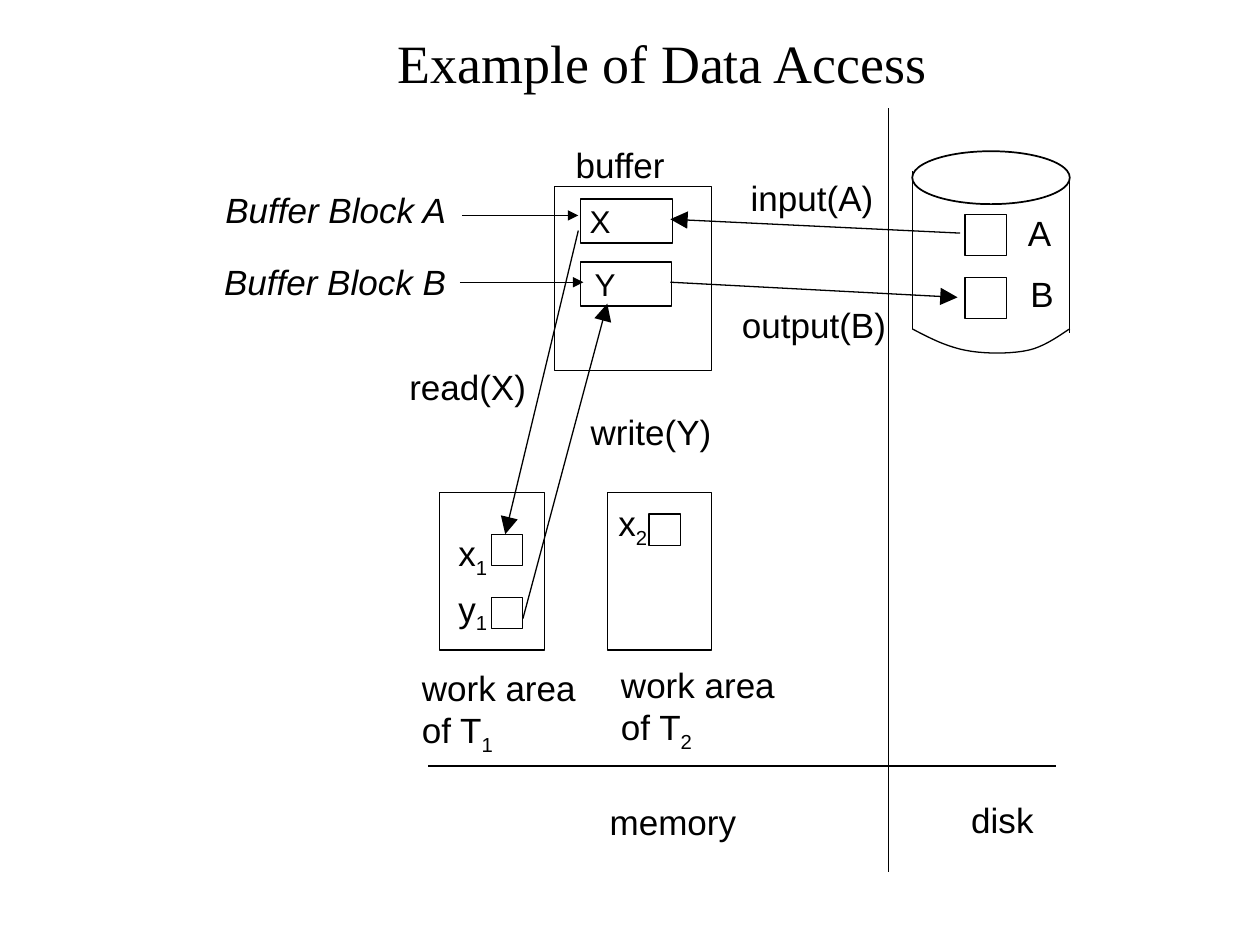
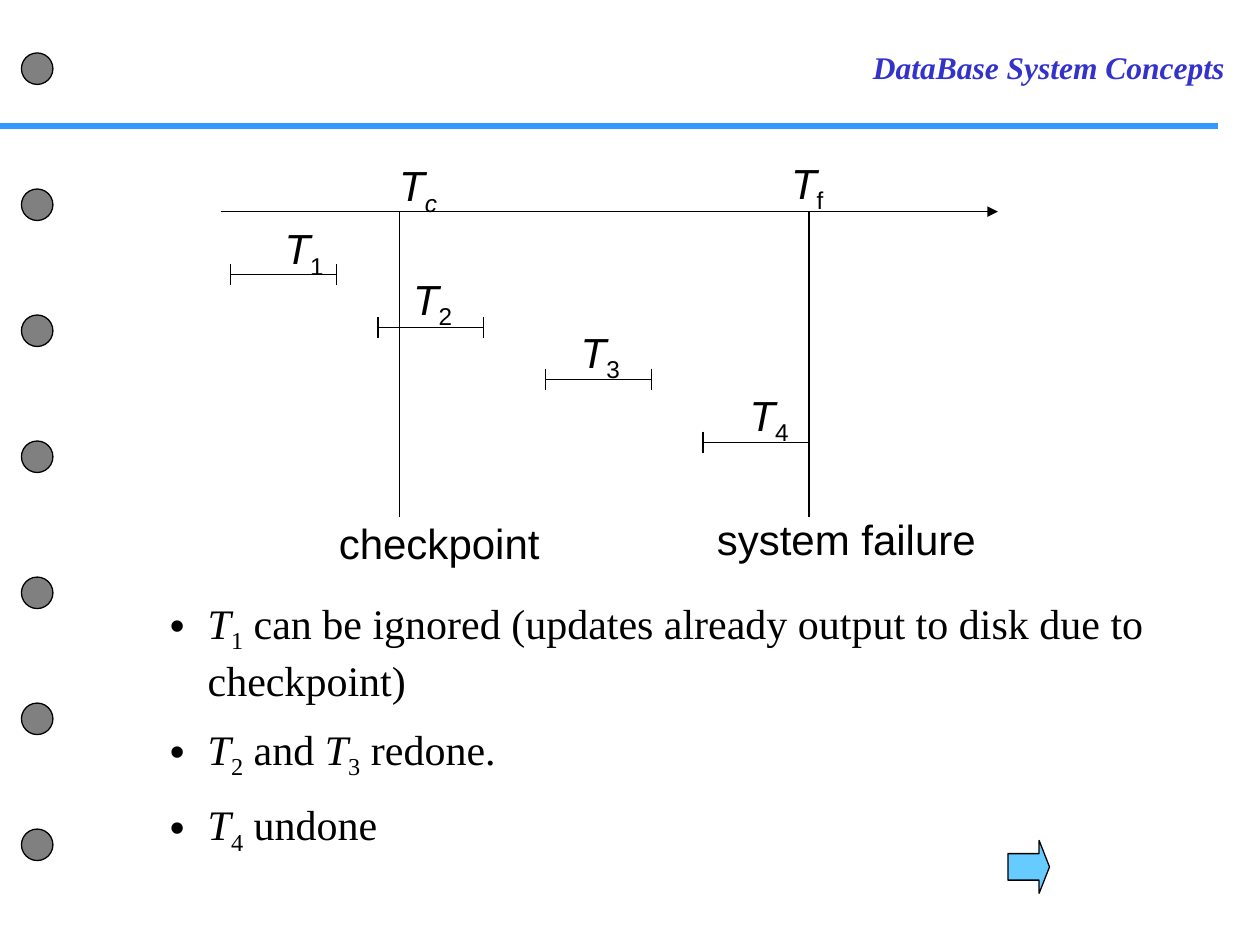
"""Build two slides on database recovery: data access and a checkpoint timeline."""
from lxml import etree
from pptx import Presentation, util as u
from pptx.dml.color import RGBColor
from pptx.enum import shapes, text
from pptx.oxml.ns import qn

SANS, SERIF = "Arial", "Times New Roman"
BLACK, GREY, RULE_BLUE, TITLE_BLUE, ARROW_BLUE = "000000", "808080", "3399FF", "3333CC", "66CCFF"
RECTANGLE, OVAL = shapes.MSO_SHAPE.RECTANGLE, shapes.MSO_SHAPE.OVAL
LEFT, CENTER = text.PP_ALIGN.LEFT, text.PP_ALIGN.CENTER

# Runs are split by "|"; a leading "/" means italic and a leading "~" subscript.
ACCESS_TITLE = "Example of Data Access"
ACCESS_LABELS = [
    (["A"], 8.06, 1.63, 0.38), (["B"], 8.08, 2.11, 0.38),
    (["x|~1"], 3.54, 4.17, 0.43), (["y|~1"], 3.54, 4.61, 0.47), (["x|~2"], 4.81, 3.93, 0.43),
    (["buffer"], 4.47, 1.09, 0.91),
    (["/Buffer Block A"], 1.69, 1.45, 2.04), (["/Buffer Block B"], 1.68, 2.02, 1.96),
    (["input(A)"], 5.86, 1.35, 1.17), (["output(B)"], 5.79, 2.36, 1.42),
    (["read(X)"], 3.15, 2.85, 1.13), (["write(Y)"], 4.59, 3.21, 1.16),
    (["work area", "of T|~1"], 3.25, 5.24, 1.5), (["work area", "of T|~2"], 4.83, 5.22, 1.42),
    (["memory"], 4.74, 6.3, 1.2), (["disk"], 7.61, 6.29, 0.69),
]
BUFFER = (4.4, 1.48, 1.25, 1.46)
BUFFER_BLOCKS = [("X", (4.61, 1.58, 0.73, 0.35), 0.07), ("Y", (4.61, 2.08, 0.72, 0.35), 0.11)]
DISK_BLOCKS = [(7.66, top, 0.33, 0.33) for top in (1.7, 2.2)]
WORK_AREAS = [(left, 3.91, 0.83, 1.25) for left in (3.49, 4.82)]
VARIABLES = [(left, top, 0.25, 0.25) for left, top in ((3.9, 4.24), (3.9, 4.74), (5.15, 4.08))]
DISK_TOP = (7.24, 1.2, 1.25, 0.42)
DISK_SIDES = [(7.24, 1.36, 7.24, 2.61), (8.49, 1.39, 8.49, 2.64)]
DISK_BOTTOM = [
    ((7.24, 2.61), (7.37, 2.68), (7.51, 2.75), (7.66, 2.78)),
    ((7.66, 2.78), (7.81, 2.81), (8.02, 2.81), (8.16, 2.78)),
    ((8.16, 2.78), (8.3, 2.75), (8.44, 2.64), (8.49, 2.61)),
]
DIVIDERS = [(3.4, 6.08, 8.38, 6.08), (7.05, 0.86, 7.05, 6.92)]
BLOCK_POINTERS = [(3.67, 1.71, 4.59, 1.71), (3.65, 2.24, 4.63, 2.24)]
TRANSFERS = [(7.62, 1.85, 5.32, 1.74), (5.32, 2.24, 7.6, 2.36),
             (4.59, 1.83, 4.01, 4.24), (4.15, 4.91, 4.82, 2.41)]

HEADER = "/DataBase System Concepts"
HOLE_TOPS = [0.42, 1.5, 2.5, 3.5, 4.58, 5.58, 6.58]
AXIS_TOP, EVENT_BOTTOM = 1.68, 4.1
EVENTS = [3.17, 6.42]
INTERVAL_LENGTH, TICK = 0.84, 0.17
INTERVALS = [(1.83, 2.18), (3, 2.6), (4.33, 3.01), (5.58, 3.51)]
TIMELINE_LABELS = [
    (["/T|/~c"], 3.07, 1.22, 0.5), (["/T|~f"], 6.18, 1.2, 0.46),
    (["/T|~1"], 2.16, 1.72, 0.51), (["/T|~2"], 3.18, 2.12, 0.51),
    (["/T|~3"], 4.51, 2.54, 0.51), (["/T|~4"], 5.85, 3.04, 0.51),
    (["checkpoint"], 2.59, 4.06, 1.79), (["system failure"], 5.59, 4.03, 2.25),
]
OUTCOMES = [
    "/T|~1| can be ignored (updates already output to disk due to checkpoint)",
    "/T|~2| and |/T|~3| redone.",
    "/T|~4| undone",
]


def color(value):
    return RGBColor.from_string(value)


def inches(values):
    return [u.Inches(value) for value in values]


def set_all(target, **values):
    for name, value in values.items():
        setattr(target, name, value)


def add_bullet(paragraph, indent):
    properties = paragraph._p.get_or_add_pPr()
    properties.set("marL", str(u.Inches(indent)))
    properties.set("indent", str(-u.Inches(indent)))
    etree.SubElement(properties, qn("a:buFont")).set("typeface", SANS)
    etree.SubElement(properties, qn("a:buChar")).set("char", "•")


def write(frame, lines, size, font=SANS, ink=BLACK, bold=False, align=LEFT,
          wrap=False, bullet=0, gap=0, anchor=text.MSO_ANCHOR.TOP):
    set_all(frame, word_wrap=wrap, vertical_anchor=anchor, auto_size=text.MSO_AUTO_SIZE.NONE)
    for index, line in enumerate(lines):
        paragraph = frame.add_paragraph() if index else frame.paragraphs[0]
        paragraph.alignment = align
        if index and gap:
            paragraph.space_before = u.Pt(gap)
        if bullet:
            add_bullet(paragraph, bullet)
        for part in line.split("|"):
            run = paragraph.add_run()
            run.text = part.lstrip("/~")
            marks = part[:len(part) - len(run.text)]
            set_all(run.font, name=font, size=u.Pt(size), bold=bold, italic="/" in marks)
            run.font.color.rgb = color(ink)
            if "~" in marks:
                run._r.get_or_add_rPr().set("baseline", "-25000")


def add_text(slide, lines, left, top, width, size, height=None, **style):
    height = height or 0.1 + len(lines) * size / 60
    box = slide.shapes.add_textbox(*inches((left, top, width, height)))
    write(box.text_frame, lines, size, **style)


def outline(shape, fill=None, weight=0.75):
    shape.shadow.inherit = False
    if fill:
        shape.fill.solid()
        shape.fill.fore_color.rgb = color(fill)
    else:
        shape.fill.background()
    shape.line.color.rgb = color(BLACK)
    shape.line.width = u.Pt(weight)
    return shape


def add_figure(slide, kind, place, **style):
    return outline(slide.shapes.add_shape(kind, *inches(place)), **style)


def add_line(slide, ends, ink=BLACK, weight=0.75, head=None):
    line = slide.shapes.add_connector(shapes.MSO_CONNECTOR.STRAIGHT, *inches(ends))
    line.line.color.rgb = color(ink)
    line.line.width = u.Pt(weight)
    if head:
        tail = etree.SubElement(line.line._get_or_add_ln(), qn("a:tailEnd"))
        for name, value in {"type": "triangle", "w": head, "len": head}.items():
            tail.set(name, value)
    etree.SubElement(line._element.spPr, qn("a:effectLst"))


def curve_points(curve, steps=10):
    for step in range(1, steps + 1):
        t = step / steps
        weights = ((1 - t) ** 3, 3 * t * (1 - t) ** 2, 3 * t * t * (1 - t), t ** 3)
        yield tuple(u.Inches(sum(weight * point[axis] for weight, point in zip(weights, curve)))
                    for axis in (0, 1))


def add_disk(slide):
    add_figure(slide, OVAL, DISK_TOP, weight=1)
    for side in DISK_SIDES:
        add_line(slide, side)
    builder = slide.shapes.build_freeform(*inches(DISK_BOTTOM[0][0]))
    points = [point for curve in DISK_BOTTOM for point in curve_points(curve)]
    builder.add_line_segments(points, close=False)
    outline(builder.convert_to_shape())


def build_access(presentation):
    slide = presentation.slides.add_slide(presentation.slide_layouts[5])
    title = slide.shapes.title
    set_all(title, **dict(zip(("left", "top", "width", "height"), inches((0.84, 0.13, 8.83, 0.67)))))
    write(title.text_frame, [ACCESS_TITLE], 30.8, font=SERIF, align=CENTER, wrap=True,
          anchor=text.MSO_ANCHOR.BOTTOM)
    for place in [BUFFER, *DISK_BLOCKS, *WORK_AREAS, *VARIABLES]:
        add_figure(slide, RECTANGLE, place)
    for name, place, inset in BUFFER_BLOCKS:
        block = add_figure(slide, RECTANGLE, place)
        block.text_frame.margin_left = u.Inches(inset)
        write(block.text_frame, [name], 18, wrap=True, anchor=text.MSO_ANCHOR.MIDDLE)
    add_disk(slide)
    for lines, head in ((DIVIDERS, None), (BLOCK_POINTERS, "med"), (TRANSFERS, "lg")):
        for ends in lines:
            add_line(slide, ends, head=head)
    for label in ACCESS_LABELS:
        add_text(slide, *label, size=20)


def build_timeline(presentation):
    slide = presentation.slides.add_slide(presentation.slide_layouts[6])
    add_line(slide, (0, 1, 9.67, 1), ink=RULE_BLUE, weight=3)
    for top in HOLE_TOPS:
        add_figure(slide, OVAL, (0.17, top, 0.25, 0.25), fill=GREY)
    add_text(slide, [HEADER], 6.83, 0.33, 3.17, 18, font=SERIF, ink=TITLE_BLUE, bold=True, wrap=True)
    add_line(slide, (1.75, AXIS_TOP, 7.92, AXIS_TOP), head="med")
    for event in EVENTS:
        add_line(slide, (event, AXIS_TOP, event, EVENT_BOTTOM))
    for start, level in INTERVALS:
        end = start + INTERVAL_LENGTH
        add_line(slide, (start, level, end, level))
        for edge in (start, end):
            add_line(slide, (edge, level - TICK / 2, edge, level + TICK / 2))
    for label in TIMELINE_LABELS:
        add_text(slide, *label, size=24)
    add_text(slide, OUTCOMES, 1.25, 4.69, 8, 24, height=2.77, font=SERIF, wrap=True,
             bullet=0.3, gap=10.5)
    arrow = add_figure(slide, shapes.MSO_SHAPE.RIGHT_ARROW, (8, 6.67, 0.33, 0.42), fill=ARROW_BLUE)
    arrow.adjustments[1] = 0.25


def main():
    presentation = Presentation()
    set_all(presentation, slide_width=u.Inches(10), slide_height=u.Inches(7.5))
    build_access(presentation)
    build_timeline(presentation)
    presentation.save("out.pptx")


if __name__ == "__main__":
    main()
